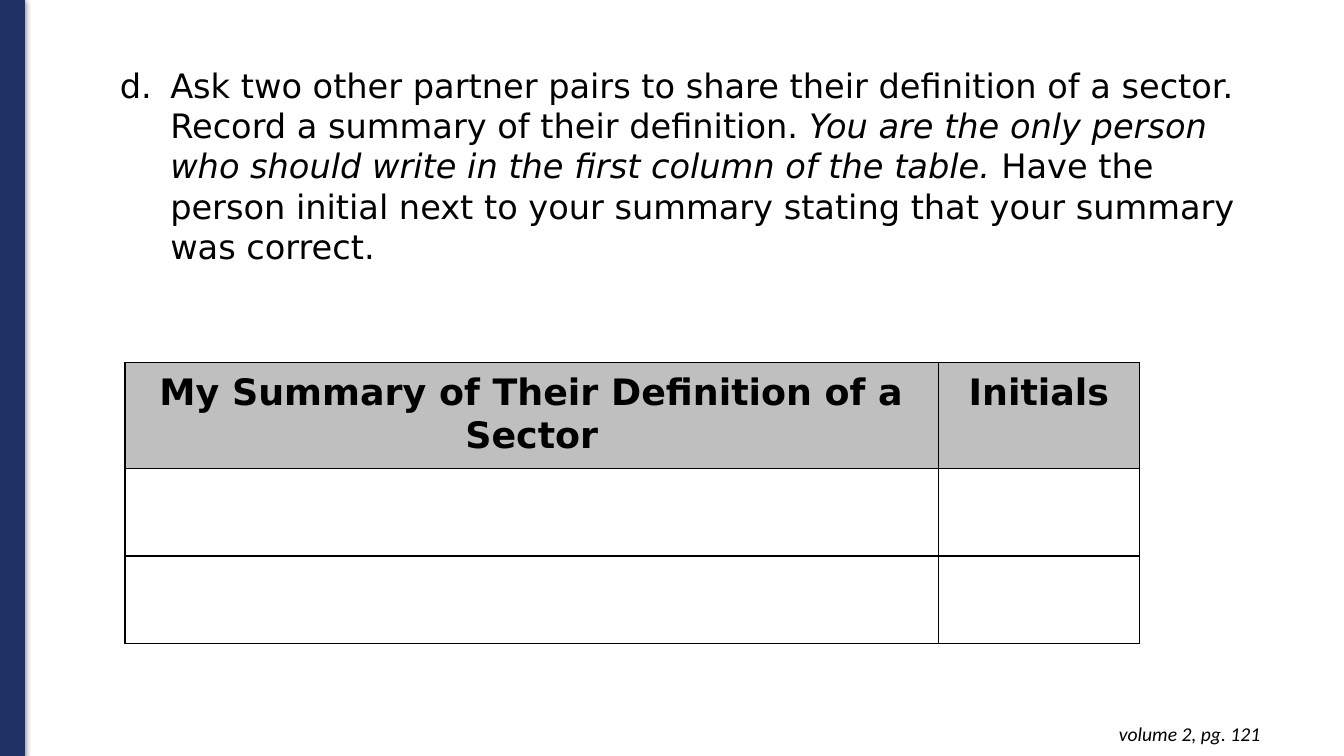
from lxml.etree import SubElement
from pptx import Presentation
from pptx.dml.color import RGBColor
from pptx.enum.shapes import MSO_SHAPE
from pptx.enum.text import MSO_AUTO_SIZE, PP_ALIGN
from pptx.oxml.ns import qn
from pptx.util import Inches, Pt

COLORS = {"navy": "1F3165", "black": "000000", "gray": "BFBFBF"}
FORMATS = {
    "body": {"name": "DejaVu Sans", "size": Pt(24)},
    "emphasis": {"name": "DejaVu Sans", "size": Pt(24), "italic": True},
    "header": {"name": "DejaVu Sans", "size": Pt(26), "bold": True},
    "footer": {"name": "Calibri", "size": Pt(14), "italic": True},
}
INSTRUCTIONS = [
    ("Ask two other partner pairs to share their definition of a sector. "
     "Record a summary of their definition. ", "body"),
    ("You are the only person who should write in the first column of the table. ",
     "emphasis"),
    ("Have the person initial next to your summary stating that your summary "
     "was correct.", "body"),
]
HEADERS = ["My Summary of Their Definition of a Sector", "Initials"]
COLUMN_WIDTHS = [8.07, 1.99]
ROW_HEIGHTS = [1.04, 0.87, 0.87]


def color(name):
    """Return the named colour."""
    return RGBColor.from_string(COLORS[name])


def add_element(parent, tag, **attributes):
    """Append a drawing element with the given attributes."""
    return SubElement(parent, qn(tag), attributes)


def add_color(parent, name):
    """Append a named colour element."""
    return add_element(parent, "a:srgbClr", val=COLORS[name])


def add_run(paragraph, text, style):
    """Append a run in one of the named formats."""
    run = paragraph.add_run()
    run.text = text
    for attribute, value in FORMATS[style].items():
        setattr(run.font, attribute, value)
    run.font.color.rgb = color("black")


def add_side_bar(slide):
    """Draw the shadowed bar along the left edge."""
    bar = slide.shapes.add_shape(
        MSO_SHAPE.RECTANGLE, Inches(0), Inches(-0.01), Inches(0.24), Inches(7.51))
    bar.fill.solid()
    bar.fill.fore_color.rgb = color("navy")
    bar.line.color.rgb = color("navy")
    bar.line.width = Pt(0.75)
    bar.shadow.inherit = False
    effects = bar.element.spPr.find(qn("a:effectLst"))
    shadow = add_element(
        effects, "a:outerShdw", blurRad=str(Pt(4.5)), dist=str(Pt(1.5)),
        dir="5400000", algn="ctr", rotWithShape="0")
    add_element(add_color(shadow, "black"), "a:alpha", val="50000")


def add_text(slide, box, runs, inset):
    """Add a wrapping text box and return its paragraph."""
    frame = slide.shapes.add_textbox(*map(Inches, box)).text_frame
    frame.word_wrap = True
    frame.auto_size = MSO_AUTO_SIZE.SHAPE_TO_FIT_TEXT
    frame.margin_top = frame.margin_bottom = Inches(inset)
    paragraph = frame.paragraphs[0]
    for text, style in runs:
        add_run(paragraph, text, style)
    return paragraph


def set_lettered(paragraph, start):
    """Give a paragraph a hanging letter."""
    properties = paragraph._p.get_or_add_pPr()
    properties.set("marL", str(Inches(1)))
    properties.set("indent", str(Inches(-0.5)))
    add_color(add_element(properties, "a:buClr"), "black")
    add_element(properties, "a:buFont", typeface="DejaVu Sans")
    add_element(properties, "a:buAutoNum", type="alphaLcPeriod", startAt=str(start))


def set_borders(cell):
    """Outline a cell on all four sides."""
    properties = cell._tc.get_or_add_tcPr()
    for side in "LRTB":
        border = add_element(properties, f"a:ln{side}", w=str(Pt(1)))
        add_color(add_element(border, "a:solidFill"), "black")


def add_summary_table(slide):
    """Add the table with a gray header and empty answer rows."""
    table = slide.shapes.add_table(
        len(ROW_HEIGHTS), len(COLUMN_WIDTHS), Inches(1.24), Inches(3.6),
        Inches(sum(COLUMN_WIDTHS)), Inches(sum(ROW_HEIGHTS))).table
    for column, width in zip(table.columns, COLUMN_WIDTHS):
        column.width = Inches(width)
    for row, height in zip(table.rows, ROW_HEIGHTS):
        row.height = Inches(height)
    for cell in table.iter_cells():
        set_borders(cell)
        cell.fill.background()
    for cell, text in zip(table.rows[0].cells, HEADERS):
        cell.fill.solid()
        cell.fill.fore_color.rgb = color("gray")
        cell.margin_left = cell.margin_right = Inches(0.18)
        cell.margin_top = cell.margin_bottom = Inches(0.09)
        paragraph = cell.text_frame.paragraphs[0]
        paragraph.alignment = PP_ALIGN.CENTER
        add_run(paragraph, text, "header")


def main():
    """Build and save the slide."""
    presentation = Presentation()
    presentation.slide_width = Inches(13.33)
    presentation.slide_height = Inches(7.5)
    slide = presentation.slides.add_slide(presentation.slide_layouts[6])
    add_side_bar(slide)
    footer = add_text(
        slide, (9.72, 7.06, 2.88, 0.44), [("volume 2, pg. 121", "footer")], 0.1)
    footer.alignment = PP_ALIGN.RIGHT
    instructions = add_text(slide, (0.59, 0.59, 12.01, 2.12), INSTRUCTIONS, 0.05)
    set_lettered(instructions, 4)
    add_summary_table(slide)
    presentation.save("out.pptx")


if __name__ == "__main__":
    main()
